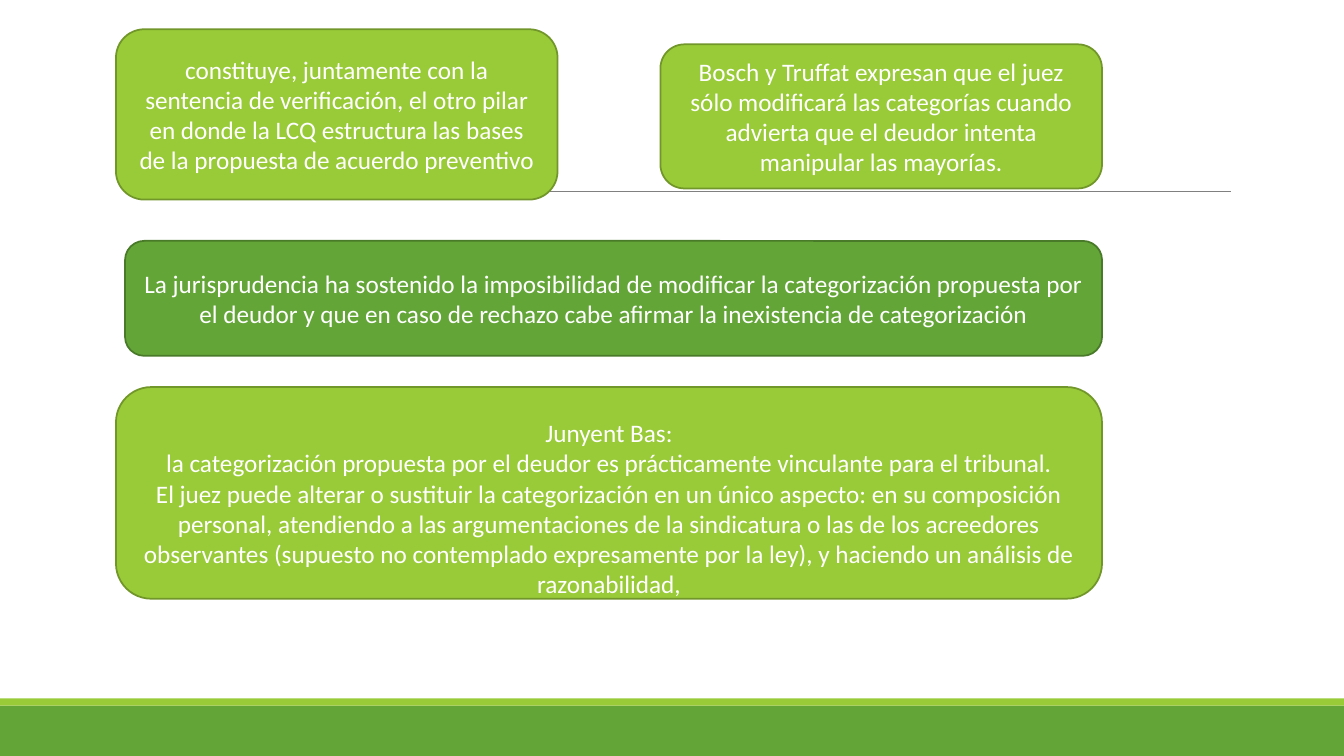
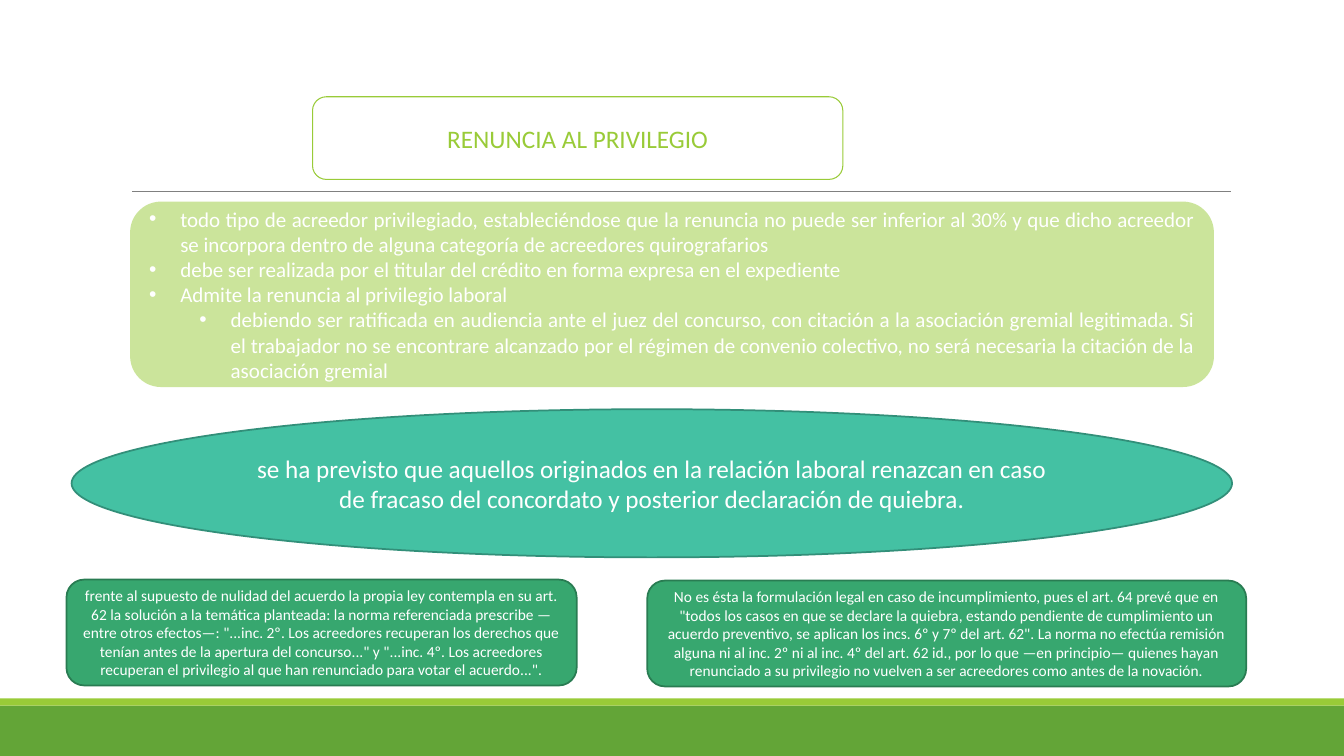
import pptx
import pptx.util
import pptx.dml.color
import pptx.enum.shapes
import pptx.enum.text
import pptx.oxml.ns
import lxml.etree

Inches, Pt = pptx.util.Inches, pptx.util.Pt
RGBColor = pptx.dml.color.RGBColor
SHAPES = pptx.enum.shapes.MSO_SHAPE
ALIGN = pptx.enum.text.PP_ALIGN
qn = pptx.oxml.ns.qn

FONT = "Calibri"
WHITE = RGBColor(0xFF, 0xFF, 0xFF)
GRAY = RGBColor(0x80, 0x80, 0x80)
LIME = RGBColor(0x99, 0xCB, 0x38)
LIME_EDGE = RGBColor(0x71, 0x96, 0x29)
GREEN = RGBColor(0x63, 0xA5, 0x37)
GREEN_EDGE = RGBColor(0x49, 0x7A, 0x29)
TEAL = RGBColor(0x44, 0xC1, 0xA3)
TEAL_EDGE = RGBColor(0x32, 0x8F, 0x79)
EMERALD = RGBColor(0x37, 0xA7, 0x6F)
EMERALD_EDGE = RGBColor(0x29, 0x7C, 0x52)

# Content: position (left, top, width, height), fill, edge, paragraphs
JUDGE_CARDS = [
    ((1.15, 0.29, 4.38, 1.69), LIME, LIME_EDGE, [
        "constituye, juntamente con la sentencia de verificación, el otro pilar en donde "
        "la LCQ estructura las bases de la propuesta de acuerdo preventivo"]),
    ((6.55, 0.44, 4.38, 1.43), LIME, LIME_EDGE, [
        "Bosch y Truffat expresan que el juez sólo modificará las categorías cuando "
        "advierta que el deudor intenta manipular las mayorías."]),
    ((1.24, 2.39, 9.69, 1.14), GREEN, GREEN_EDGE, [
        "La jurisprudencia ha sostenido la imposibilidad de modificar la categorización "
        "propuesta por el deudor y que en caso de rechazo cabe afirmar la inexistencia "
        "de categorización"]),
]
AUTHOR_CARD = ((1.15, 3.84, 9.78, 2.1), LIME, LIME_EDGE, [
    "Junyent Bas:",
    "la categorización propuesta por el deudor es prácticamente vinculante para el tribunal.",
    "El juez puede alterar o sustituir la categorización en un único aspecto: en su "
    "composición personal, atendiendo a las argumentaciones de la sindicatura o las de los "
    "acreedores observantes (supuesto no contemplado expresamente por la ley), y haciendo "
    "un análisis de razonabilidad,"])

TITLE = "RENUNCIA AL PRIVILEGIO"
TITLE_PLACE = (3.1, 0.96, 5.26, 0.82)
WAIVER_PLACE = (1.29, 2, 10.75, 1.84)
WAIVER_RULES = [  # (level, text)
    (0, "todo tipo de acreedor privilegiado, estableciéndose que la renuncia no puede ser "
        "inferior al 30% y que dicho acreedor se incorpora dentro de alguna categoría de "
        "acreedores quirografarios"),
    (0, "debe ser realizada por el titular del crédito en forma expresa en el expediente"),
    (0, "Admite la renuncia al privilegio laboral"),
    (1, "debiendo ser ratificada en audiencia ante el juez del concurso, con citación a la "
        "asociación gremial legitimada. Si el trabajador no se encontrare alcanzado por el "
        "régimen de convenio colectivo, no será necesaria la citación de la asociación gremial"),
]
LABOR_OVAL = ((0.71, 4.06, 11.51, 1.47), TEAL, TEAL_EDGE, [
    "se ha previsto que aquellos originados en la relación laboral renazcan en caso de "
    "fracaso del concordato y posterior declaración de quiebra."])
ARTICLE_CARDS = [
    ((0.66, 5.75, 5.06, 1.05), EMERALD, EMERALD_EDGE, [
        "frente al supuesto de nulidad del acuerdo la propia ley contempla en su art. 62 la "
        "solución a la temática planteada: la norma referenciada prescribe —entre otros "
        "efectos—: \"...inc. 2º. Los acreedores recuperan los derechos que tenían antes de la "
        "apertura del concurso...\" y \"...inc. 4º. Los acreedores recuperan el privilegio al "
        "que han renunciado para votar el acuerdo...\"."]),
    ((6.42, 5.76, 5.94, 1.05), EMERALD, EMERALD_EDGE, [
        "No es ésta la formulación legal en caso de incumplimiento, pues el art. 64 prevé que "
        "en \"todos los casos en que se declare la quiebra, estando pendiente de cumplimiento "
        "un acuerdo preventivo, se aplican los incs. 6º y 7º del art. 62\". La norma no efectúa "
        "remisión alguna ni al inc. 2º ni al inc. 4º del art. 62 id., por lo que —en "
        "principio— quienes hayan renunciado a su privilegio no vuelven a ser acreedores como "
        "antes de la novación."]),
]


def add_box(page, place, fill=None, edge=None, weight=1.25, kind=SHAPES.ROUNDED_RECTANGLE):
    box = page.shapes.add_shape(kind, *map(Inches, place))
    box.shadow.inherit = False
    if fill is None:
        box.fill.background()
    else:
        box.fill.solid()
        box.fill.fore_color.rgb = fill
    if edge is None:
        box.line.fill.background()
    else:
        box.line.color.rgb = edge
        box.line.width = Pt(weight)
    return box


def style(para, size, color=WHITE, align=ALIGN.CENTER):
    para.alignment = align
    para.font.name = FONT
    para.font.size = Pt(size)
    para.font.color.rgb = color


def write(box, texts, size, color=WHITE, align=ALIGN.CENTER):
    frame = box.text_frame
    frame.word_wrap = True
    frame.vertical_anchor = pptx.enum.text.MSO_ANCHOR.MIDDLE
    frame.text = "\n".join(texts)
    for para in frame.paragraphs:
        style(para, size, color, align)


def add_card(page, card, size=18, kind=SHAPES.ROUNDED_RECTANGLE):
    place, fill, edge, texts = card
    box = add_box(page, place, fill, edge, kind=kind)
    write(box, texts, size)
    return box


def add_bullet(para, level):
    para.level = level
    properties = para._p.get_or_add_pPr()
    properties.set("marL", str(Inches(0.31 + 0.5 * level)))
    properties.set("indent", str(-Inches(0.31)))
    font = lxml.etree.SubElement(properties, qn("a:buFont"))
    font.set("typeface", "Arial")
    lxml.etree.SubElement(properties, qn("a:buChar")).set("char", "•")


def build_master(deck, page):
    """Draw the bands and the rule once and move them to the slide master."""
    rule = page.shapes.add_connector(
        pptx.enum.shapes.MSO_CONNECTOR.STRAIGHT,
        Inches(1.31), Inches(1.9), Inches(12.21), Inches(1.9))
    rule.line.color.rgb = GRAY
    rule.line.width = Pt(0.5)
    lxml.etree.SubElement(rule.element.spPr, qn("a:effectLst"))
    bands = [add_box(page, (0, 7, 13.33, 0.5), GREEN, kind=SHAPES.RECTANGLE),
             add_box(page, (0, 6.93, 13.33, 0.07), LIME, kind=SHAPES.RECTANGLE)]
    for part in bands + [rule]:
        deck.slide_master.shapes.element.append(part.element)


def build_judge_page(page):
    for card in JUDGE_CARDS:
        add_card(page, card)
    author = add_card(page, AUTHOR_CARD)
    author.text_frame.margin_top = Inches(0.35)


def build_waiver_page(page):
    # Title in its outlined frame
    add_box(page, TITLE_PLACE, edge=LIME, weight=0.75)
    title = page.shapes.title
    title.left, title.top, title.width, title.height = map(Inches, TITLE_PLACE)
    write(title, [TITLE], 18, LIME)

    # Half-transparent panel of bullets
    panel = add_box(page, WAIVER_PLACE, LIME)
    color = panel.fill._xPr.find(qn("a:solidFill"))[0]
    lxml.etree.SubElement(color, qn("a:alpha")).set("val", "50000")
    write(panel, [text for _, text in WAIVER_RULES], 15, align=ALIGN.JUSTIFY)
    for para, (level, _) in zip(panel.text_frame.paragraphs, WAIVER_RULES):
        para._p.remove(para._p.pPr)
        add_bullet(para, level)
        style(para, 15, align=ALIGN.JUSTIFY)

    # Oval and the two article cards
    add_card(page, LABOR_OVAL, kind=SHAPES.OVAL)
    for card in ARTICLE_CARDS:
        add_card(page, card, size=11)


def main():
    deck = pptx.Presentation()
    deck.slide_width, deck.slide_height = Inches(13.33), Inches(7.5)
    title_only, blank = deck.slide_layouts[5], deck.slide_layouts[6]
    judge_page = deck.slides.add_slide(blank)
    build_master(deck, judge_page)
    build_judge_page(judge_page)
    build_waiver_page(deck.slides.add_slide(title_only))
    deck.save("out.pptx")


if __name__ == "__main__":
    main()
